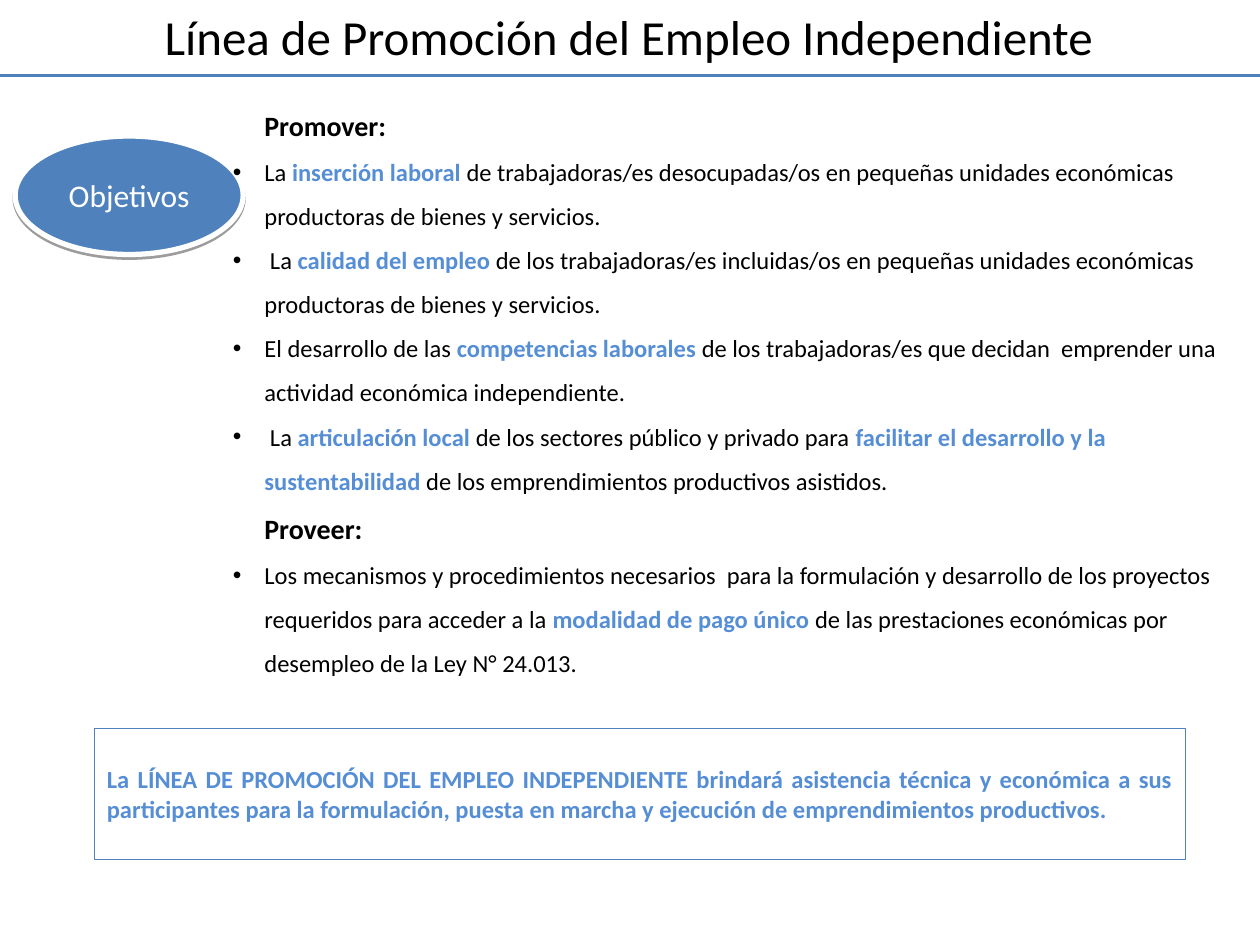
from lxml.etree import SubElement
from pptx import Presentation
from pptx.dml.color import RGBColor
from pptx.enum.shapes import MSO_CONNECTOR as Connector, MSO_SHAPE as Shape
from pptx.enum.text import MSO_ANCHOR as Anchor, MSO_AUTO_SIZE as AutoSize, PP_ALIGN as Align
from pptx.oxml.ns import qn
from pptx.util import Inches, Pt

COLORS = {"blue": "4F81BD", "accent": "558ED5", "white": "FFFFFF", "black": "000000"}
FONT = "Calibri"

TITLE = "Línea de Promoción del Empleo Independiente"
BADGE = "Objetivos"
SUMMARY = (
    "La LÍNEA DE PROMOCIÓN DEL EMPLEO INDEPENDIENTE brindará asistencia técnica y económica "
    "a sus participantes para la formulación, puesta en marcha y ejecución de "
    "emprendimientos productivos."
)
SECTIONS = [
    ("Promover:", [
        ["La ", "inserción laboral ",
         "de trabajadoras/es desocupadas/os en pequeñas unidades económicas "
         "productoras de bienes y servicios."],
        [" La ", "calidad del empleo ",
         "de los trabajadoras/es incluidas/os en pequeñas unidades económicas "
         "productoras de bienes y servicios."],
        ["El desarrollo de las ", "competencias laborales ",
         "de los trabajadoras/es que decidan  emprender una actividad económica independiente."],
        [" La ", "articulación local ",
         "de los sectores público y privado para ",
         "facilitar el desarrollo y la sustentabilidad ",
         "de los emprendimientos productivos asistidos."],
    ]),
    ("Proveer:", [
        ["Los mecanismos y procedimientos necesarios  para la formulación y desarrollo "
         "de los proyectos requeridos para acceder a la ",
         "modalidad de pago único ",
         "de las prestaciones económicas por desempleo de la Ley N° 24.013."],
    ]),
]


def rgb(name):
    return RGBColor.from_string(COLORS[name])


def inches(*values):
    return [Inches(value) for value in values]


def add_span(para, text, size, color="black", bold=False):
    span = para.add_run()
    span.text = text
    formats = {"name": FONT, "size": Pt(size), "bold": bold}
    for key, value in formats.items():
        setattr(span.font, key, value)
    span.font.color.rgb = rgb(color)


def set_frame(box, anchor):
    formats = {"word_wrap": True, "auto_size": AutoSize.NONE, "vertical_anchor": anchor}
    for key, value in formats.items():
        setattr(box.text_frame, key, value)


def fill_box(box, text, align, size, color="black", bold=False):
    set_frame(box, Anchor.MIDDLE)
    para = box.text_frame.paragraphs[0]
    para.alignment = align
    add_span(para, text, size, color, bold)


def add_panel(page, kind, place, fill, line, width):
    panel = page.shapes.add_shape(kind, *inches(*place))
    panel.shadow.inherit = False
    panel.fill.solid()
    panel.fill.fore_color.rgb = rgb(fill)
    panel.line.color.rgb = rgb(line)
    panel.line.width = Pt(width)
    return panel


def add_shadow(shape):
    effects = shape._element.spPr.find(qn("a:effectLst"))
    shadow = SubElement(effects, qn("a:outerShdw"), blurRad="0", dist=str(Pt(1.6)),
                        dir="5400000", rotWithShape="0")
    color = SubElement(shadow, qn("a:srgbClr"), val=COLORS["black"])
    SubElement(color, qn("a:alpha"), val="38000")


def set_bullet(para):
    props = para._p.get_or_add_pPr()
    props.set("indent", str(Inches(-0.25)))
    color = SubElement(props, qn("a:buClr"))
    SubElement(color, qn("a:srgbClr"), val=COLORS["black"])
    SubElement(props, qn("a:buFont"), typeface="Arial")
    SubElement(props, qn("a:buChar"), char="•")


def add_goals(page):
    box = page.shapes.add_textbox(*inches(1.69, 0.68, 8.19, 4.75))
    set_frame(box, Anchor.TOP)
    frame = box.text_frame
    rows = [row for heading, goals in SECTIONS for row in [heading, *goals]]
    for index, row in enumerate(rows):
        para = frame.add_paragraph() if index else frame.paragraphs[0]
        para._p.get_or_add_pPr().set("marL", str(Inches(0.31)))
        para.line_spacing = 1.5
        if isinstance(row, str):
            add_span(para, row, 16, bold=True)
            continue
        set_bullet(para)
        for position, text in enumerate(row):
            strong = position % 2 == 1
            add_span(para, text, 14, "accent" if strong else "black", strong)


def add_rule(page):
    rule = page.shapes.add_connector(Connector.STRAIGHT, *inches(0, 0.6, 10, 0.6))
    rule.line.color.rgb = rgb("blue")
    rule.line.width = Pt(2)
    SubElement(rule._element.spPr, qn("a:effectLst"))


def main():
    deck = Presentation()
    deck.slide_width, deck.slide_height = inches(10, 7.5)
    page = deck.slides.add_slide(deck.slide_layouts[5])

    title = page.shapes.title
    title.left, title.top, title.width, title.height = inches(0.49, -0.11, 9, 0.79)
    fill_box(title, TITLE, Align.CENTER, 28)

    badge = add_panel(page, Shape.OVAL, (0.12, 1.08, 1.81, 0.94), "blue", "white", 3)
    add_shadow(badge)
    fill_box(badge, BADGE, Align.CENTER, 18, "white")

    add_goals(page)
    add_rule(page)

    summary = add_panel(page, Shape.RECTANGLE, (0.75, 5.78, 8.66, 1.04), "white", "blue", 0.25)
    fill_box(summary, SUMMARY, Align.JUSTIFY, 14, "accent", True)

    deck.save("out.pptx")


if __name__ == "__main__":
    main()
